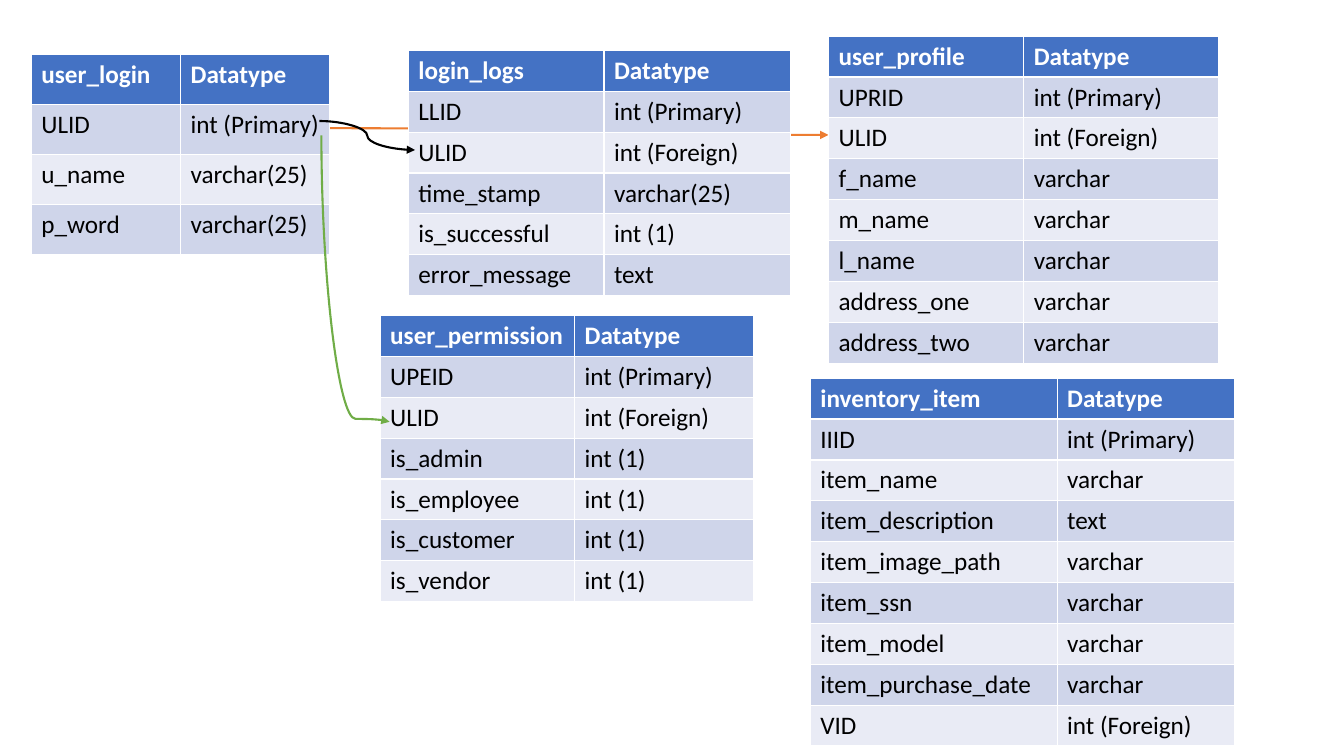
from lxml import etree
from pptx import Presentation
from pptx import util as u
from pptx.dml.color import RGBColor
from pptx.enum import shapes
from pptx.oxml.ns import qn

# Content: name, left, top, column widths, row height (cm), fields
PRIMARY, FOREIGN, FLAG = "int (Primary)", "int (Foreign)", "int (1)"
SHORT, VARCHAR, LONG = "varchar(25)", "varchar", "text"
ROW = 1.03

TABLES = [
    ("user_login", 0.79, 1.37, (3.76, 3.76), 1.26, [
        ("ULID", PRIMARY), ("u_name", SHORT), ("p_word", SHORT)]),
    ("login_logs", 10.29, 1.27, (4.93, 4.7), ROW, [
        ("LLID", PRIMARY), ("ULID", FOREIGN), ("time_stamp", SHORT),
        ("is_successful", FLAG), ("error_message", LONG)]),
    ("user_permission", 9.58, 7.95, (4.9, 4.52), ROW, [
        ("UPEID", PRIMARY), ("ULID", FOREIGN), ("is_admin", FLAG),
        ("is_employee", FLAG), ("is_customer", FLAG), ("is_vendor", FLAG)]),
    ("user_profile", 20.88, 0.91, (4.92, 4.92), ROW, [
        ("UPRID", PRIMARY), ("ULID", FOREIGN), ("f_name", VARCHAR),
        ("m_name", VARCHAR), ("l_name", VARCHAR),
        ("address_one", VARCHAR), ("address_two", VARCHAR)]),
    ("inventory_item", 20.42, 9.53, (6.22, 4.47), ROW, [
        ("IIID", PRIMARY), ("item_name", VARCHAR), ("item_description", LONG),
        ("item_image_path", VARCHAR), ("item_ssn", VARCHAR),
        ("item_model", VARCHAR), ("item_purchase_date", VARCHAR),
        ("VID", FOREIGN)]),
]

# Links from the login key: start, end (cm), colour
PROFILE_LINK = ((7.82, 3.23), (20.88, 3.4), "ED7D31")
LOGS_LINK = ((8.05, 3.05), (10.46, 3.78), "000000")
PERMISSION_LINK = ((8.1, 3.41), (9.82, 10.63), "70AD47")

HEADER, BANDS = "4472C4", ("CFD5EA", "E9EBF5")


def colour(value):
    return RGBColor.from_string(value)


def add_entity(page, name, left, top, widths, row_height, fields):
    rows = [(name, "Datatype")] + fields
    frame = page.shapes.add_table(
        len(rows), len(widths), u.Cm(left), u.Cm(top),
        u.Cm(sum(widths)), u.Cm(row_height * len(rows)))
    table = frame.table
    for column, width in zip(table.columns, widths):
        column.width = u.Cm(width)
    for r, row in enumerate(rows):
        table.rows[r].height = u.Cm(row_height)
        for c, label in enumerate(row):
            cell = table.cell(r, c)
            cell.fill.solid()
            cell.fill.fore_color.rgb = colour(BANDS[(r - 1) % 2] if r else HEADER)
            span = cell.text_frame.paragraphs[0].add_run()
            span.text = label
            span.font.name = "Calibri"
            span.font.size = u.Pt(18)
            span.font.bold = r == 0
            span.font.color.rgb = colour("000000" if r else "FFFFFF")


def add_link(page, start, end, line_colour, bend=None):
    """Curved arrow; with a bend it leaves downwards and turns at that share."""
    (x1, y1), (x2, y2) = start, end
    if bend:
        # A quarter turn swaps width and height around the same centre
        mid_x, mid_y = (x1 + x2) / 2, (y1 + y2) / 2
        half_w, half_h = (y2 - y1) / 2, (x2 - x1) / 2
        x1, x2 = mid_x - half_w, mid_x + half_w
        y1, y2 = mid_y - half_h, mid_y + half_h
    link = page.shapes.add_connector(
        shapes.MSO_CONNECTOR.CURVE, u.Cm(x1), u.Cm(y1), u.Cm(x2), u.Cm(y2))
    link.line.color.rgb = colour(line_colour)
    link.line.width = u.Pt(1.5)
    properties = link._element.spPr
    etree.SubElement(properties.find(qn("a:ln")), qn("a:tailEnd"), type="triangle")
    etree.SubElement(properties, qn("a:effectLst"))
    if bend:
        transform = properties.find(qn("a:xfrm"))
        transform.set("rot", str(270 * 60000))
        transform.set("flipH", "1")
        adjustments = properties.find(qn("a:prstGeom")).find(qn("a:avLst"))
        etree.SubElement(adjustments, qn("a:gd"), name="adj1",
                         fmla=f"val {round(bend * 100000)}")


deck = Presentation()
deck.slide_width, deck.slide_height = u.Cm(33.87), u.Cm(19.05)
page = deck.slides.add_slide(deck.slide_layouts[6])

# The profile link runs behind the tables, the others in front
add_link(page, *PROFILE_LINK)
for entity in TABLES:
    add_entity(page, *entity)
add_link(page, *LOGS_LINK)
add_link(page, *PERMISSION_LINK, bend=0.99)

deck.save("out.pptx")
